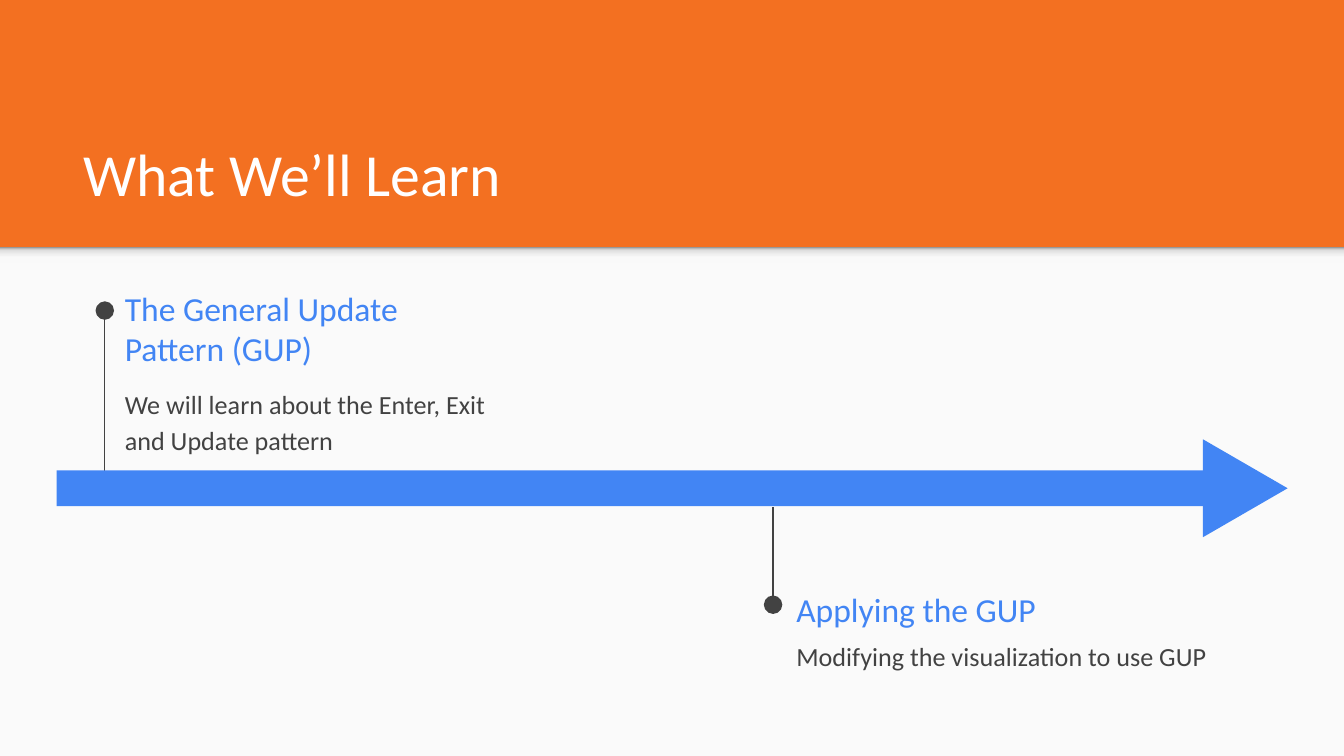
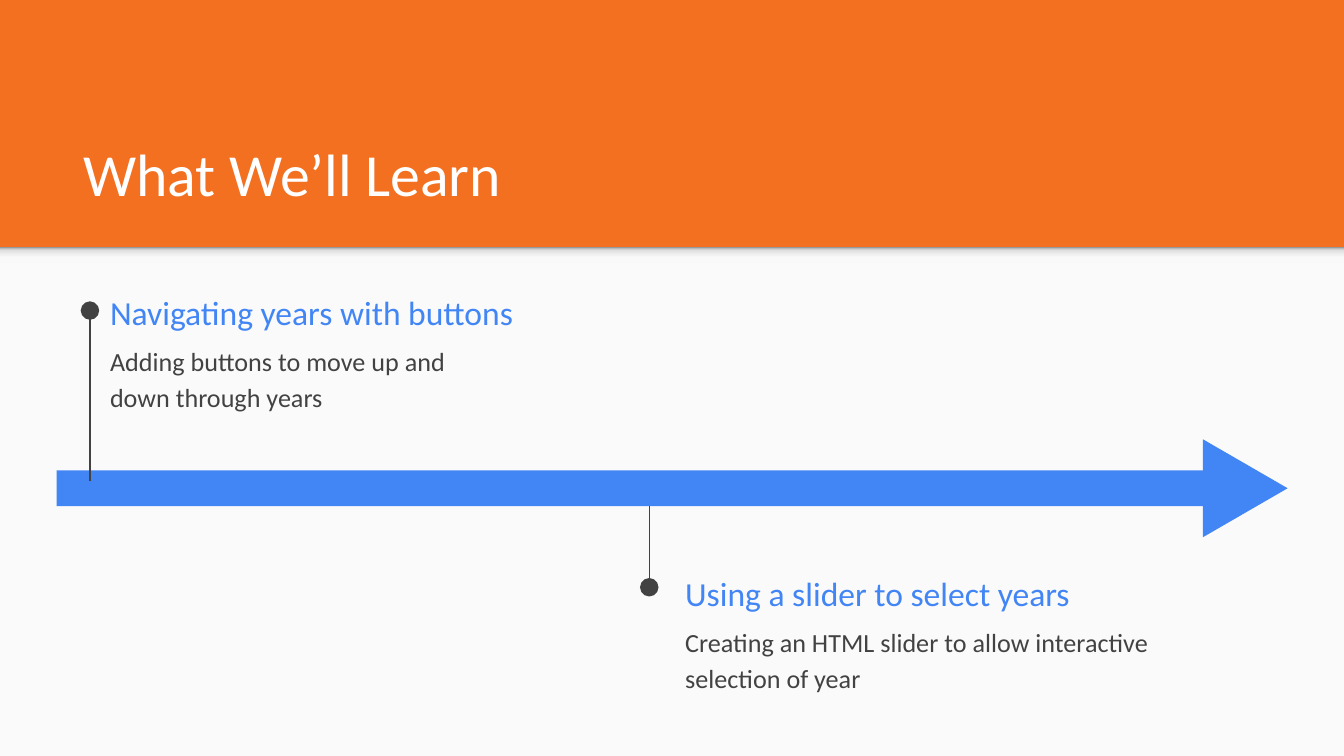
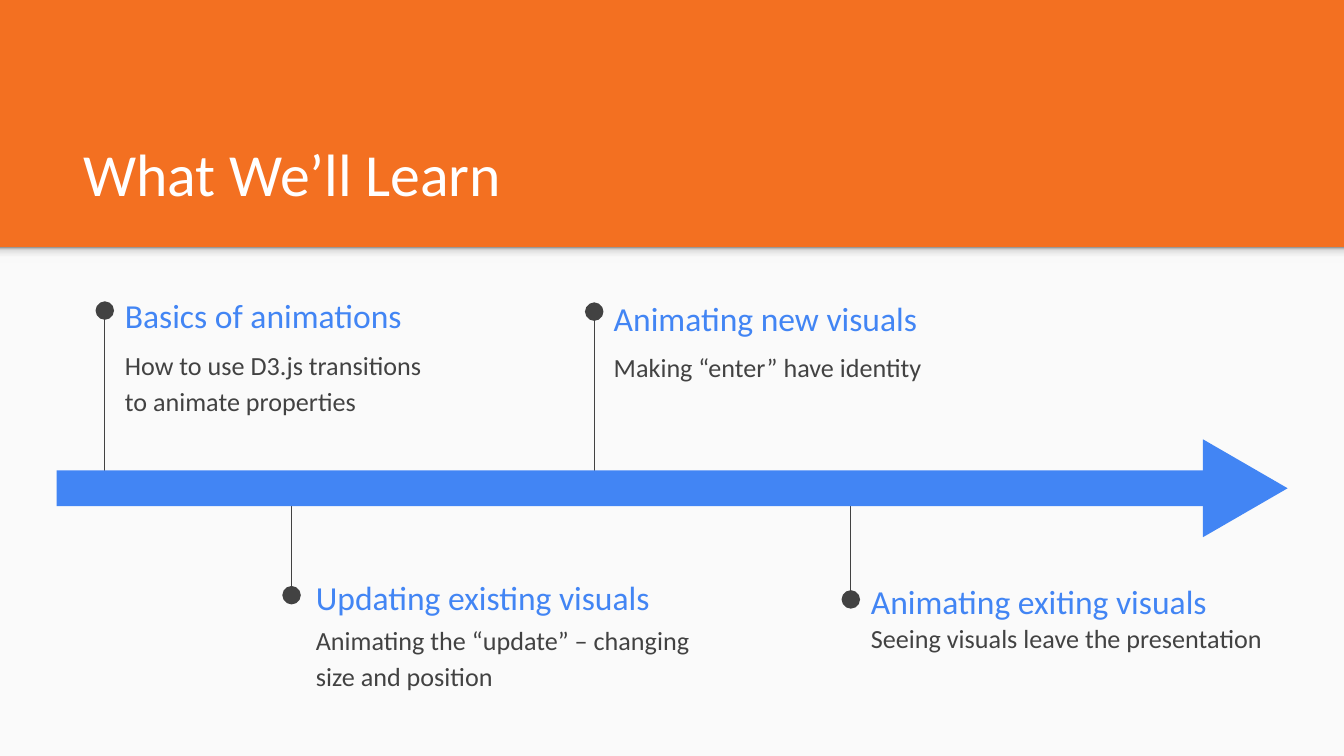
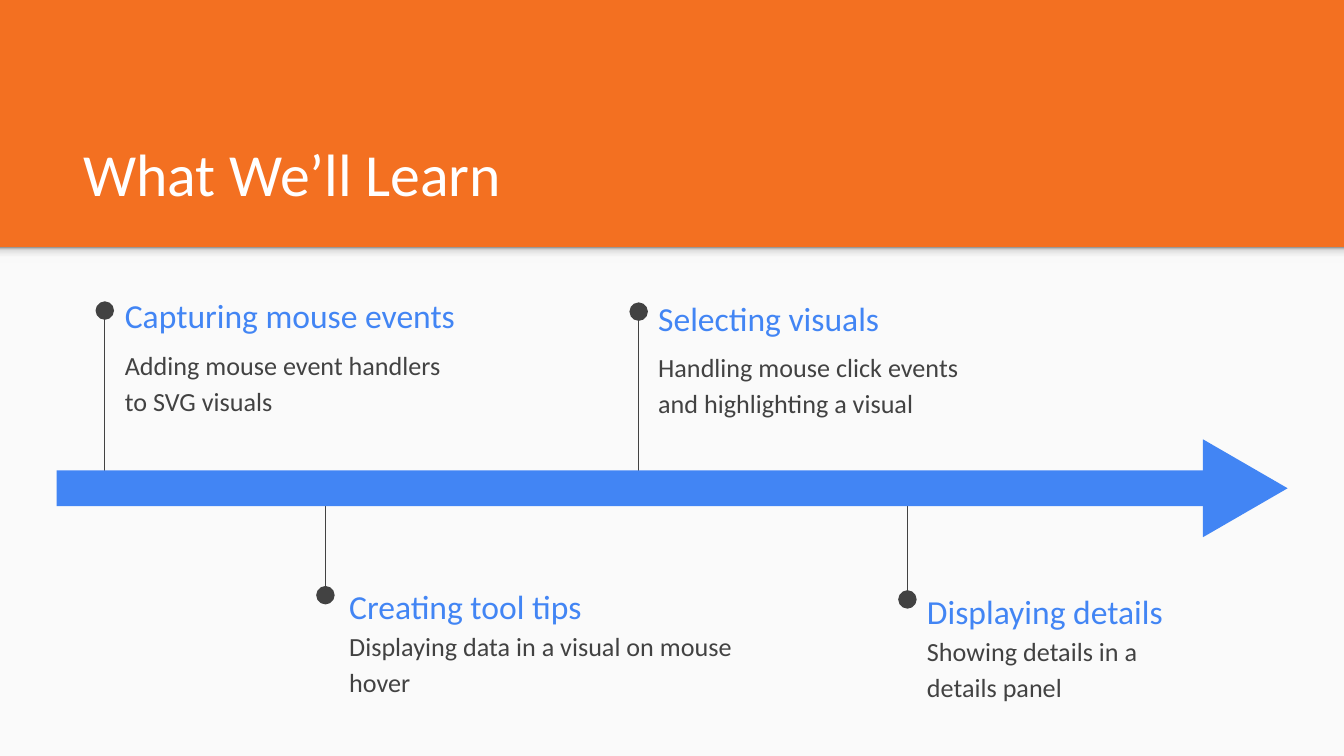
from collections import namedtuple
from copy import deepcopy

from lxml.etree import SubElement
from pptx import Presentation
from pptx.dml.color import RGBColor
from pptx.enum.shapes import MSO_CONNECTOR, MSO_SHAPE
from pptx.enum.text import MSO_ANCHOR
from pptx.oxml.ns import qn
from pptx.util import Cm, Pt

ORANGE = RGBColor(0xF3, 0x70, 0x21)
PANEL = RGBColor(0xFA, 0xFA, 0xFA)
BLUE = RGBColor(0x42, 0x85, 0xF4)
DARK = RGBColor(0x42, 0x42, 0x42)
WHITE = RGBColor(0xFF, 0xFF, 0xFF)
SHADOW_STOPS = [
    (0, RGBColor(0xF9, 0xF9, 0xF9)),
    (0.36, RGBColor(0xF9, 0xF9, 0xF9)),
    (0.8, RGBColor(0xDE, 0xDE, 0xDE)),
    (1, RGBColor(0x99, 0x99, 0x99)),
]

FONT = "Calibri"
SLIDE_WIDTH, SLIDE_HEIGHT = 25.4, 14.29
PANEL_TOP = 4.67
BAR_MIDDLE = 9.23
PIN_ABOVE, PIN_BELOW = 3.23, 1.85
HEADING_HEIGHT, DETAIL_HEIGHT = 1.09, 1.6
INSET = 0.25

TITLE_FORMAT = {
    "frame": {"vertical_anchor": MSO_ANCHOR.BOTTOM},
    "paragraph": {},
    "font": {"size": Pt(32)},
    "color": WHITE,
}
HEADING_FORMAT = {
    "frame": {"vertical_anchor": MSO_ANCHOR.MIDDLE},
    "paragraph": {},
    "font": {"size": Pt(18)},
    "color": BLUE,
}
DETAIL_FORMAT = {
    "frame": {"vertical_anchor": MSO_ANCHOR.TOP},
    "paragraph": {"line_spacing": 1.15, "space_after": Pt(16)},
    "font": {"size": Pt(14)},
    "color": DARK,
}

# Lengths are centimetres; dot_y is the round end of the pin.
Milestone = namedtuple(
    "Milestone",
    "pin_x dot_y text_left heading_top heading_width heading "
    "detail_top detail_width detail in_front",
    defaults=[False],
)

TIMELINES = [
    [
        Milestone(14.61, 11.43, 14.8, 10.97, 6.15, "Applying the GUP",
                  11.76, 8.89, "Modifying the visualization to use GUP"),
        Milestone(1.98, 5.87, 2.11, 5.66, 6.78, "The General Update Pattern (GUP)",
                  7.01, 7.42, "We will learn about the Enter, Exit and Update pattern"),
    ],
    [
        Milestone(12.27, 11.1, 12.7, 10.67, 10.59, "Using a slider to select years",
                  11.51, 9.53,
                  "Creating an HTML slider to allow interactive selection of year"),
        Milestone(1.7, 5.87, 1.83, 5.36, 10.59, "Navigating years with buttons",
                  6.2, 7.49, "Adding buttons to move up and down through years",
                  in_front=True),
    ],
    [
        Milestone(5.51, 11.25, 5.72, 10.74, 8.41, "Updating existing visuals",
                  11.46, 7.92, "Animating the “update” – changing size and position"),
        Milestone(1.98, 5.87, 2.11, 5.41, 6.68, "Basics of animations",
                  6.27, 6.55, "How to use D3.js transitions to animate properties"),
        Milestone(11.23, 5.89, 11.35, 5.46, 7.44, "Animating new visuals",
                  6.3, 6.55, "Making “enter” have identity"),
        Milestone(16.08, 11.33, 16.21, 10.82, 8.41, "Animating exiting visuals",
                  11.43, 7.92, "Seeing visuals leave the presentation"),
    ],
    [
        Milestone(6.15, 11.25, 6.35, 10.92, 8.41, "Creating tool tips",
                  11.58, 7.92, "Displaying data in a visual on mouse hover"),
        Milestone(1.98, 5.87, 2.11, 5.41, 7.62, "Capturing mouse events",
                  6.27, 6.55, "Adding mouse event handlers to SVG visuals"),
        Milestone(12.07, 5.89, 12.19, 5.46, 7.44, "Selecting visuals",
                  6.3, 6.55, "Handling mouse click events and highlighting a visual"),
        Milestone(17.15, 11.33, 17.27, 11, 5.87, "Displaying details",
                  11.68, 4.83, "Showing details in a details panel"),
    ],
]


def set_attributes(target, values):
    for name, value in values.items():
        setattr(target, name, value)


def add_block(shapes, kind, left, top, width, height, color=None):
    """Add a preset shape without outline or shadow."""
    shape = shapes.add_shape(kind, Cm(left), Cm(top), Cm(width), Cm(height))
    shape.shadow.inherit = False
    shape.line.fill.background()
    if color is not None:
        shape.fill.solid()
        shape.fill.fore_color.rgb = color
    return shape


def add_text(slide, text, left, top, width, height, text_format):
    box = slide.shapes.add_textbox(Cm(left), Cm(top), Cm(width), Cm(height))
    frame = box.text_frame
    frame.word_wrap = True
    margins = {f"margin_{side}": Cm(INSET) for side in ("left", "top", "right", "bottom")}
    set_attributes(frame, margins | text_format["frame"])
    paragraph = frame.paragraphs[0]
    set_attributes(paragraph, text_format["paragraph"])
    run = paragraph.add_run()
    run.text = text
    set_attributes(run.font, {"name": FONT} | text_format["font"])
    run.font.color.rgb = text_format["color"]


def add_panel(slide):
    """Add the light content area and the soft shadow along its top edge."""
    add_block(slide.shapes, MSO_SHAPE.RECTANGLE, 0, PANEL_TOP,
              SLIDE_WIDTH, SLIDE_HEIGHT - PANEL_TOP, PANEL)
    shadow = add_block(slide.shapes, MSO_SHAPE.RECTANGLE, 0, PANEL_TOP, SLIDE_WIDTH, 0.3)
    shadow.fill.gradient()
    shadow.fill.gradient_angle = 90
    stop_list = next(shadow._element.iter(qn("a:gsLst")))
    while len(stop_list) < len(SHADOW_STOPS):
        stop_list.append(deepcopy(stop_list[0]))
    for stop, (position, color) in zip(shadow.fill.gradient_stops, SHADOW_STOPS):
        stop.position = position
        stop.color.rgb = color


def add_pin(slide, x, dot_y):
    """Add a line from the time arrow to a round end at dot_y."""
    start_y = dot_y + PIN_ABOVE if dot_y < BAR_MIDDLE else dot_y - PIN_BELOW
    pin = slide.shapes.add_connector(
        MSO_CONNECTOR.STRAIGHT, Cm(x), Cm(start_y), Cm(x), Cm(dot_y))
    pin.line.color.rgb = DARK
    pin.line.width = Pt(0.75)
    SubElement(pin.line._get_or_add_ln(), qn("a:tailEnd"), type="oval", w="lg", len="lg")
    SubElement(pin._element.spPr, qn("a:effectLst"))


def add_milestone(slide, milestone):
    add_pin(slide, milestone.pin_x, milestone.dot_y)
    add_text(slide, milestone.heading, milestone.text_left, milestone.heading_top,
             milestone.heading_width, HEADING_HEIGHT, HEADING_FORMAT)
    add_text(slide, milestone.detail, milestone.text_left, milestone.detail_top,
             milestone.detail_width, DETAIL_HEIGHT, DETAIL_FORMAT)


def add_time_arrow(slide):
    arrow = slide.shapes.add_group_shape()
    head = add_block(arrow.shapes, MSO_SHAPE.ISOSCELES_TRIANGLE,
                     22.61, 8.43, 1.85, 1.6, BLUE)
    head.rotation = 90
    add_block(arrow.shapes, MSO_SHAPE.RECTANGLE, 1.07, 8.89, 21.95, 0.68, BLUE)


def add_timeline_slide(presentation, milestones):
    slide = presentation.slides.add_slide(presentation.slide_layouts[6])
    add_panel(slide)
    add_text(slide, "What We’ll Learn", 1.32, 2.06, 22.83, 2.13, TITLE_FORMAT)
    for milestone in milestones:
        if not milestone.in_front:
            add_milestone(slide, milestone)
    add_time_arrow(slide)
    for milestone in milestones:
        if milestone.in_front:
            add_milestone(slide, milestone)


def main():
    presentation = Presentation()
    presentation.slide_width = Cm(SLIDE_WIDTH)
    presentation.slide_height = Cm(SLIDE_HEIGHT)
    background = presentation.slide_master.background.fill
    background.solid()
    background.fore_color.rgb = ORANGE
    for milestones in TIMELINES:
        add_timeline_slide(presentation, milestones)
    presentation.save("out.pptx")


if __name__ == "__main__":
    main()
